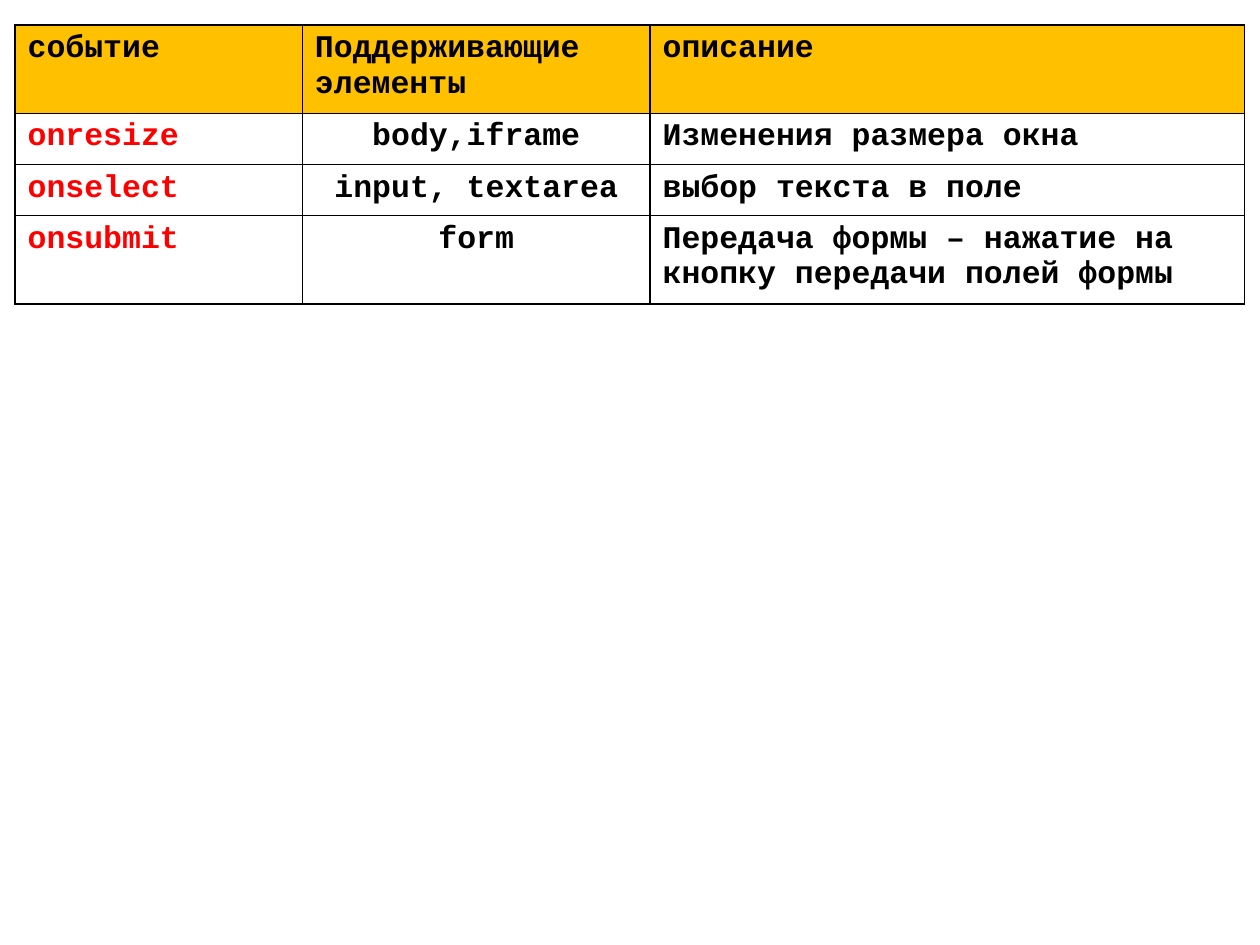
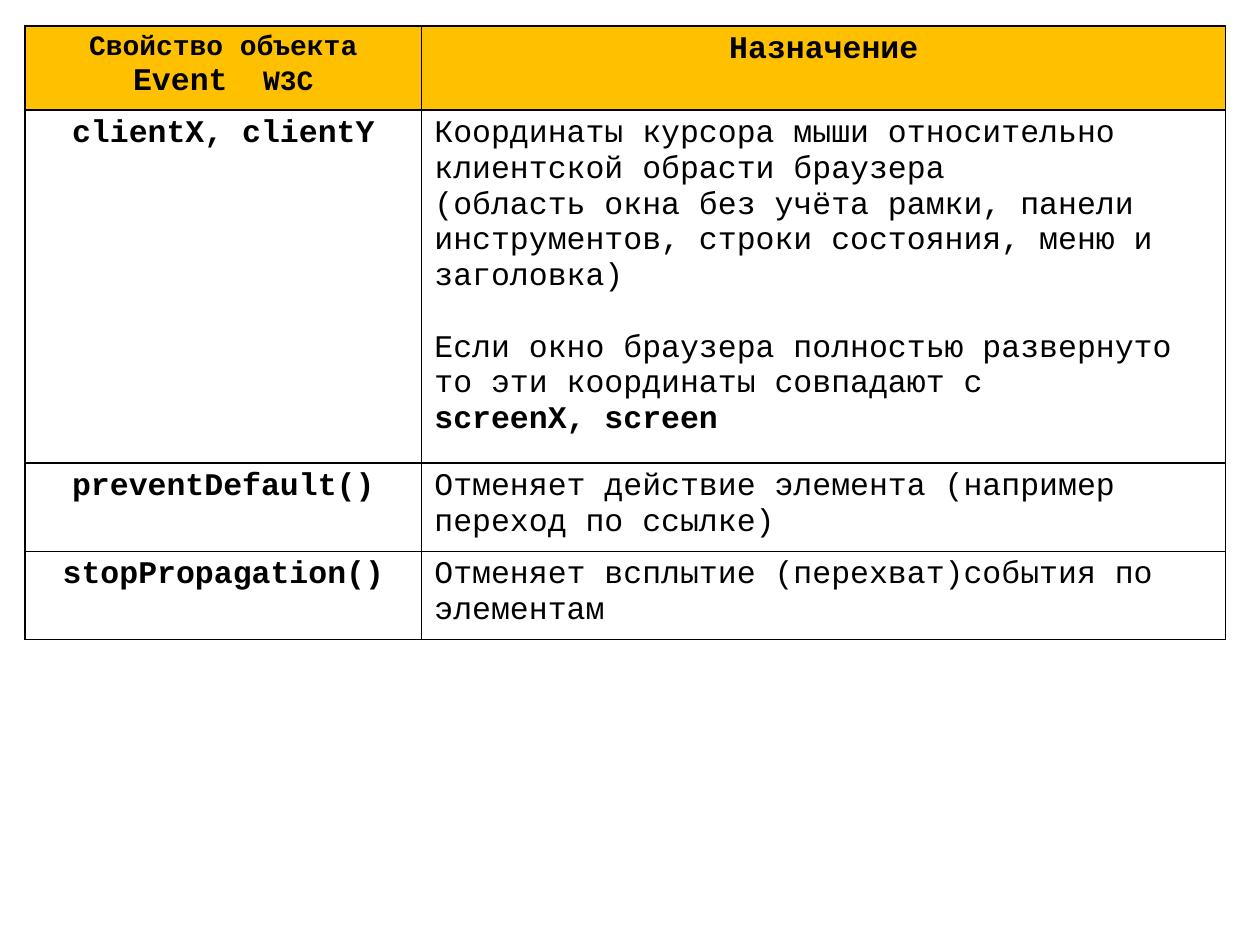
"""Build two slides with tables of browser events and Event object members."""
from lxml import etree
from pptx import Presentation
from pptx.dml.color import RGBColor
from pptx.enum.text import PP_ALIGN
from pptx.oxml.ns import qn
from pptx.util import Pt

LEFT, MID = PP_ALIGN.LEFT, PP_ALIGN.CENTER
FONT = "Courier New"
BLANK = 6
LINE = 20.4
HUES = {"ink": "000000", "head": "FFC000", "event": "FF0000"}

EVENTS = [
    ("событие", "Поддерживающие элементы", "описание"),
    ("onresize", "body,iframe", "Изменения размера окна"),
    ("onselect", "input, textarea", "выбор текста в поле"),
    ("onsubmit", "form", "Передача формы – нажатие на кнопку передачи полей формы"),
]
COORDS = [
    ("Координаты курсора мыши относительно клиентской обрасти браузера", {}),
    ("(область окна без учёта рамки, панели инструментов, строки состояния, "
     "меню и заголовка)", {}),
    ("Если окно браузера полностью развернуто то эти координаты совпадают с",
     {"before": LINE}),
    ("screenX, screen", {"bold": True}),
]
MEMBERS = [
    ("clientX, clientY", COORDS),
    ("preventDefault()",
     [("Отменяет действие элемента (например переход по ссылке)", {})]),
    ("stopPropagation()",
     [("Отменяет всплытие (перехват)события по элементам", {})]),
]


def write(para, text, size=18, hue="ink", bold=True, align=LEFT, before=0):
    para.alignment = align
    para.space_before = Pt(before)
    run = para.add_run()
    run.text = text
    font = run.font
    font.name, font.size, font.bold = FONT, Pt(size), bold
    font.color.rgb = RGBColor.from_string(HUES[hue])


def edge(cell):
    props = cell._tc.get_or_add_tcPr()
    for side in ("lnL", "lnR", "lnT", "lnB"):
        line = etree.SubElement(props, qn("a:" + side), w=str(Pt(1)))
        fill = etree.SubElement(line, qn("a:solidFill"))
        etree.SubElement(fill, qn("a:srgbClr"), val=HUES["ink"])


def add_grid(slide, left, top, cols, rows):
    frame = slide.shapes.add_table(len(rows), len(cols), Pt(left), Pt(top),
                                   Pt(sum(cols)), Pt(sum(rows)))
    grid = frame.table
    grid.first_row = grid.horz_banding = False
    for col, width in zip(grid.columns, cols):
        col.width = Pt(width)
    for index, (row, height) in enumerate(zip(grid.rows, rows)):
        row.height = Pt(height)
        for cell in row.cells:
            edge(cell)
            if index == 0:
                cell.fill.solid()
                cell.fill.fore_color.rgb = RGBColor.from_string(HUES["head"])
            else:
                cell.fill.background()
    return grid


def first(cell):
    return cell.text_frame.paragraphs[0]


def fill_events(grid):
    for r, texts in enumerate(EVENTS):
        for c, text in enumerate(texts):
            write(first(grid.cell(r, c)), text,
                  hue="event" if r and c == 0 else "ink",
                  align=MID if r and c == 1 else LEFT)


def fill_members(grid):
    head = first(grid.cell(0, 0))
    for text, size in (("Свойство объекта ", 16), ("Event ", 18), (" W3C", 16)):
        write(head, text, size=size, align=MID)
    write(first(grid.cell(0, 1)), "Назначение", align=MID)
    for r, (name, notes) in enumerate(MEMBERS, 1):
        write(first(grid.cell(r, 0)), name, align=MID)
        frame = grid.cell(r, 1).text_frame
        for i, (text, style) in enumerate(notes):
            para = frame.add_paragraph() if i else frame.paragraphs[0]
            write(para, text, **{"bold": False, **style})


def main():
    deck = Presentation()
    deck.slide_width, deck.slide_height = Pt(720), Pt(540)
    blank = deck.slide_layouts[BLANK]
    fill_events(add_grid(deck.slides.add_slide(blank), 8.6, 14.4,
                         (164.2, 198.7, 339.8), (50.4, 29.2, 29.2, 50.4)))
    fill_members(add_grid(deck.slides.add_slide(blank), 14.2, 15,
                          (226.8, 459.4), (48, 201.7, 50.4, 50.4)))
    deck.save("out.pptx")


if __name__ == "__main__":
    main()
